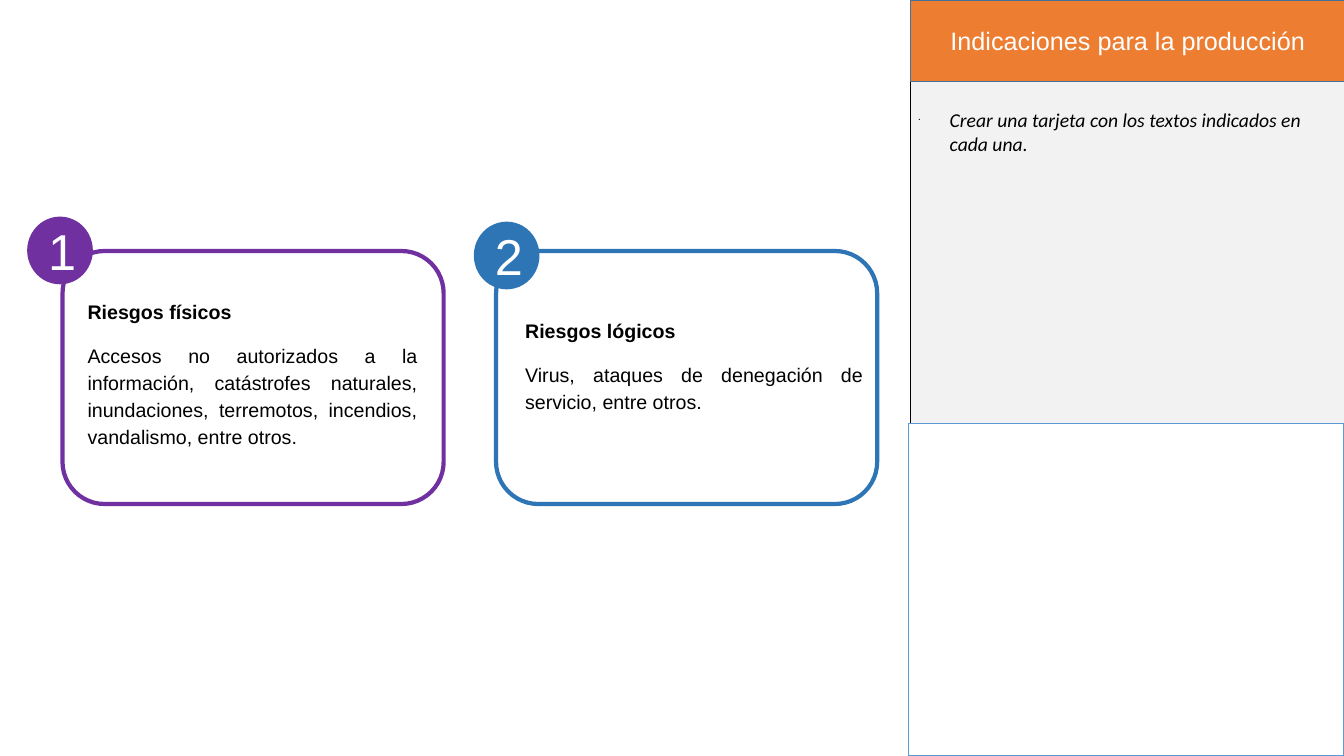
from lxml import etree
from pptx import Presentation
from pptx import util as u
from pptx.dml import color
from pptx.enum import shapes, text
from pptx.oxml import ns

COLORS = {
    "white": "FFFFFF", "black": "000000", "panel": "F2F2F2",
    "header": "ED7D31", "header_line": "42719B", "frame_line": "5B9BD5",
    "purple": "7030A0", "blue": "2E75B6",
}

# Card box, badge offset, text box offset and size, colour, heading, body
CARDS = [
    ((0.62, 2.49, 3.78, 2.51), (-0.33, -0.32), (0.15, 0.4, 3.47, 1.6), "purple",
     "Riesgos físicos",
     "Accesos no autorizados a la información, catástrofes naturales, "
     "inundaciones, terremotos, incendios, vandalismo, entre otros."),
    ((4.92, 2.49, 3.78, 2.51), (-0.2, -0.27), (0.19, 0.59, 3.55, 1.06), "blue",
     "Riesgos lógicos",
     "Virus, ataques de denegación de servicio, entre otros."),
]


def rgb(name):
    return color.RGBColor.from_string(COLORS[name])


def inches(box):
    return [u.Inches(length) for length in box]


def place(shape, box):
    shape.left, shape.top, shape.width, shape.height = inches(box)


def paint(shape, fill, line, width):
    if fill:
        shape.fill.solid()
        shape.fill.fore_color.rgb = rgb(fill)
    else:
        shape.fill.background()
    shape.line.color.rgb = rgb(line)
    shape.line.width = u.Pt(width)


def add_outline(slide, kind, box, fill, line, width=1):
    shape = slide.shapes.add_shape(kind, *inches(box))
    shape.shadow.inherit = False
    paint(shape, fill, line, width)
    return shape


def format_paragraph(paragraph, size, font_color, name="Arial", bold=False,
                     italic=False, align=text.PP_ALIGN.CENTER):
    paragraph.alignment = align
    for run in paragraph.runs:
        font = run.font
        font.size, font.name = u.Pt(size), name
        font.bold, font.italic = bold, italic
        font.color.rgb = rgb(font_color)


def add_bullet(paragraph, indent, percent):
    properties = paragraph._p.get_or_add_pPr()
    properties.set("marL", str(u.Inches(indent)))
    properties.set("indent", str(-u.Inches(indent)))
    for tag, attribute, value in (("a:buSzPct", "val", str(percent * 1000)),
                                  ("a:buFont", "typeface", "Arial"),
                                  ("a:buChar", "char", "•")):
        etree.SubElement(properties, ns.qn(tag)).set(attribute, value)


def build_instructions(slide, box):
    left, top, width, height = box

    # Grey panel, behind the placeholders
    panel = add_outline(slide, shapes.MSO_SHAPE.RECTANGLE, box, "panel", "black")
    slide.shapes._spTree.insert(2, panel._element)

    # Orange header
    title = slide.shapes.title
    place(title, (left, top, width, 0.81))
    paint(title, "header", "header_line", 1)
    title.text_frame.text = "Indicaciones para la producción"
    title.text_frame.auto_size = text.MSO_AUTO_SIZE.NONE
    title.text_frame.vertical_anchor = text.MSO_ANCHOR.MIDDLE
    format_paragraph(title.text_frame.paragraphs[0], 18, "white")

    # Instruction list
    body = slide.placeholders[1]
    place(body, (left - 0.02, top + 0.79, width + 0.02, 3.3))
    frame = body.text_frame
    frame.text = "Crear una tarjeta con los textos indicados en cada una."
    frame.auto_size = text.MSO_AUTO_SIZE.NONE
    frame.margin_top = u.Inches(0.28)
    paragraph = frame.paragraphs[0]
    paragraph.space_before = u.Pt(0)
    format_paragraph(paragraph, 14, "black", "Calibri", italic=True,
                     align=text.PP_ALIGN.LEFT)
    add_bullet(paragraph, 0.31, 25)

    # Empty white frame
    add_outline(slide, shapes.MSO_SHAPE.RECTANGLE,
                (left - 0.02, top + 4.2, width + 0.01, height - 4.2),
                "white", "frame_line")


def build_card(slide, box, number, badge_offset, text_box, accent, heading, body):
    left, top = box[:2]
    add_outline(slide, shapes.MSO_SHAPE.ROUNDED_RECTANGLE, box, None, accent, 3)

    # Number badge
    badge = add_outline(slide, shapes.MSO_SHAPE.OVAL,
                        (left + badge_offset[0], top + badge_offset[1], 0.61, 0.63),
                        accent, accent, 3)
    badge.text_frame.text = str(number)
    badge.text_frame.vertical_anchor = text.MSO_ANCHOR.MIDDLE
    format_paragraph(badge.text_frame.paragraphs[0], 36, "white")

    # Heading and description
    dx, dy, width, height = text_box
    textbox = slide.shapes.add_textbox(*inches((left + dx, top + dy, width, height)))
    frame = textbox.text_frame
    frame.word_wrap = True
    frame.text = f"{heading}\n{body}"
    for index, paragraph in enumerate(frame.paragraphs):
        paragraph.line_spacing = 1.15
        paragraph.space_before = paragraph.space_after = u.Pt(6)
        format_paragraph(paragraph, 14, "black", bold=index == 0,
                         align=text.PP_ALIGN.JUSTIFY)


def main():
    presentation = Presentation()
    presentation.slide_width = u.Inches(13.33)
    presentation.slide_height = u.Inches(7.5)
    slide = presentation.slides.add_slide(presentation.slide_layouts[1])
    build_instructions(slide, (9.03, 0, 4.31, 7.5))
    for number, (box, *details) in enumerate(CARDS, 1):
        build_card(slide, box, number, *details)
    presentation.save("out.pptx")


if __name__ == "__main__":
    main()
